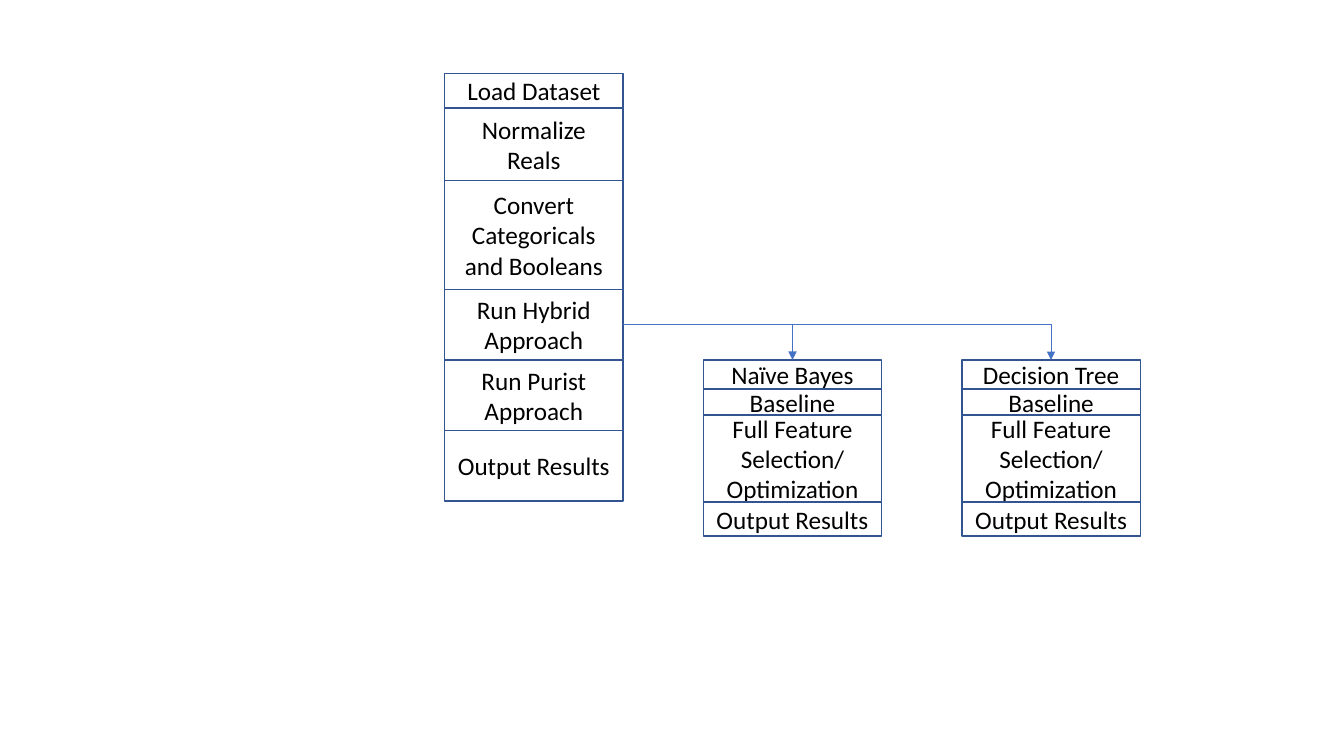
"""Builds a flow slide: a main pipeline that branches into two classifier pipelines."""
import pptx
import pptx.dml.color
import pptx.enum.shapes
import pptx.enum.text
import pptx.oxml
import pptx.oxml.ns
import pptx.util
from pptx.util import Inches

MAIN_STEPS = [
    ("Load Dataset", 0.34),
    ("Normalize Reals", 0.72),
    ("Convert Categoricals and Booleans", 1.08),
    ("Run Hybrid Approach", 0.7),
    ("Run Purist Approach", 0.7),
    ("Output Results", 0.7),
]
BRANCH_STEPS = [
    ("Baseline", 0.26),
    ("Full Feature Selection/ Optimization", 0.86),
    ("Output Results", 0.34),
]
CLASSIFIERS = ["Naïve Bayes", "Decision Tree"]
CLASSIFIER_HEIGHT = 0.29
HYBRID = 3

MAIN_LEFT, MAIN_TOP = 4.41, 0.73
BRANCH_TOP = 3.57
COLUMN_PITCH, COLUMN_WIDTH = 2.565, 1.77
WHITE, BLACK, BORDER, ARROW = "FFFFFF", "000000", "325491", "4472C4"


def paint(color_format, hex_color):
    color_format.rgb = pptx.dml.color.RGBColor.from_string(hex_color)


def add_step(slide, label, left, top, height):
    step = slide.shapes.add_shape(
        pptx.enum.shapes.MSO_SHAPE.RECTANGLE,
        Inches(left), Inches(top), Inches(COLUMN_WIDTH), Inches(height))
    step.shadow.inherit = False
    step.fill.solid()
    paint(step.fill.fore_color, WHITE)
    paint(step.line.color, BORDER)
    step.line.width = pptx.util.Pt(1)
    step.text_frame.word_wrap = True
    step.text_frame.vertical_anchor = pptx.enum.text.MSO_ANCHOR.MIDDLE
    paragraph = step.text_frame.paragraphs[0]
    paragraph.text = label
    paragraph.alignment = pptx.enum.text.PP_ALIGN.CENTER
    paragraph.font.name = "Calibri"
    paragraph.font.size = pptx.util.Pt(18)
    paint(paragraph.font.color, BLACK)
    return step


def add_column(slide, steps, column, top):
    boxes = []
    for label, height in steps:
        left = MAIN_LEFT + column * COLUMN_PITCH
        boxes.append(add_step(slide, label, left, top, height))
        top += height
    return boxes


def add_arrow(slide, kind, x1, y1, x2, y2):
    arrow = slide.shapes.add_connector(kind, x1, y1, x2, y2)
    paint(arrow.line.color, ARROW)
    arrow.line.width = pptx.util.Pt(0.5)
    line = arrow.line._get_or_add_ln()
    line.append(pptx.oxml.parse_xml(
        f'<a:tailEnd {pptx.oxml.ns.nsdecls("a")} type="triangle"/>'))
    arrow._element.spPr.append(pptx.oxml.parse_xml(
        f'<a:effectLst {pptx.oxml.ns.nsdecls("a")}/>'))
    return arrow


def main():
    deck = pptx.Presentation()
    deck.slide_width, deck.slide_height = Inches(13.33), Inches(7.5)
    slide = deck.slides.add_slide(deck.slide_layouts[6])

    hybrid = add_column(slide, MAIN_STEPS, 0, MAIN_TOP)[HYBRID]
    naive_bayes, decision_tree = [
        add_column(slide, [(name, CLASSIFIER_HEIGHT)] + BRANCH_STEPS, column, BRANCH_TOP)[0]
        for column, name in enumerate(CLASSIFIERS, start=1)]

    hybrid_right = hybrid.left + hybrid.width
    hybrid_middle = hybrid.top + hybrid.height // 2
    naive_center, tree_center = [
        box.left + box.width // 2 for box in (naive_bayes, decision_tree)]

    connectors = pptx.enum.shapes.MSO_CONNECTOR
    elbow = add_arrow(slide, connectors.ELBOW, hybrid_right, hybrid_middle,
                      tree_center, decision_tree.top)
    elbow._element.spPr.prstGeom.set("prst", "bentConnector2")
    elbow.begin_connect(hybrid, 3)
    elbow.end_connect(decision_tree, 0)
    drop = add_arrow(slide, connectors.STRAIGHT, naive_center, hybrid_middle,
                     naive_center, naive_bayes.top)
    drop.end_connect(naive_bayes, 0)

    deck.save("out.pptx")


if __name__ == "__main__":
    main()
